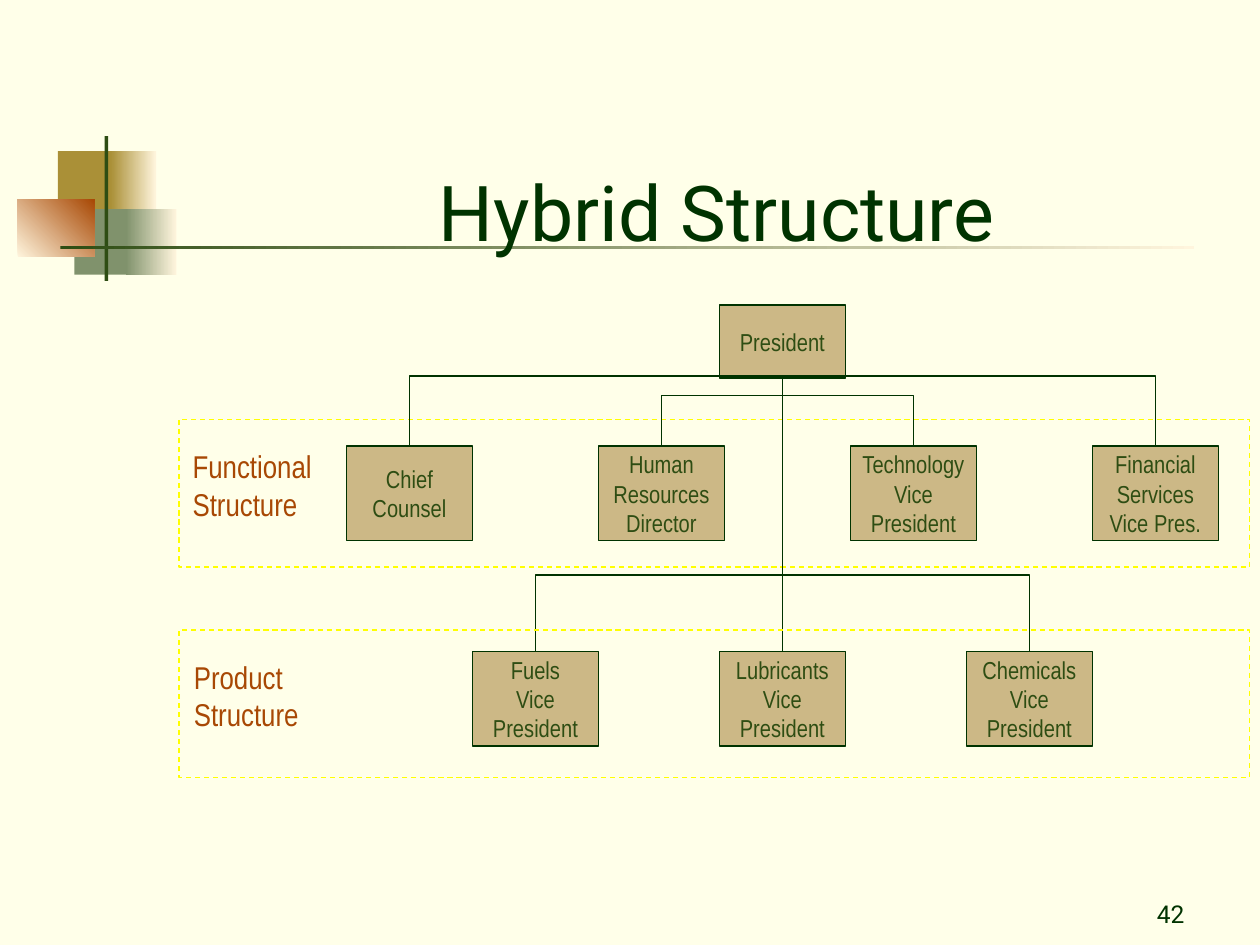
"""Build the Hybrid Structure organisation chart slide."""
from dataclasses import dataclass
from typing import Any, NamedTuple

from lxml import etree
from pptx import Presentation, util as u
from pptx.dml.color import RGBColor
from pptx.enum import dml, shapes, text
from pptx.oxml.ns import qn


@dataclass(frozen=True)
class Theme:
    paper: str = "FFFFE9"
    ink: str = "003300"
    moss: str = "2E4D13"
    sage: str = "80926C"
    gold: str = "AA9037"
    rust: str = "A84804"
    cream: str = "FFF5DD"
    tan: str = "CCB886"
    yellow: str = "FFFF00"
    title_font: str = "Roboto"
    chart_font: str = "Arial Narrow"
    title_size: int = 44
    band_size: int = 18
    small_size: int = 14
    line_width: float = 0.75


class Area(NamedTuple):
    left: float
    top: float
    width: float
    height: float


class Point(NamedTuple):
    x: float
    y: float


class Ornament(NamedTuple):
    area: Area
    color: str
    fade_to: str | None = None
    angle: int = 0


class Post(NamedTuple):
    label: str
    left: float
    top: float
    height: float = 0.75


class Band(NamedTuple):
    label: str
    top: float
    label_area: Area


THEME = Theme()
POST_WIDTH = 1
FUNCTION_TOP, PRODUCT_TOP = 3.54, 5.17

ORNAMENTS = [
    Ornament(Area(0.46, 1.2, 0.48, 0.52), THEME.gold),
    Ornament(Area(0.88, 1.2, 0.36, 0.52), THEME.gold, THEME.cream),
    Ornament(Area(0.59, 1.66, 0.46, 0.52), THEME.sage),
    Ornament(Area(1, 1.66, 0.4, 0.52), THEME.sage, THEME.cream),
    Ornament(Area(0.14, 1.58, 0.61, 0.46), THEME.cream, THEME.rust, 45),
    Ornament(Area(0.83, 1.08, 0.03, 1.15), THEME.moss),
    Ornament(Area(0.48, 1.95, 9, 0.03), THEME.moss, THEME.cream),
]
PRESIDENT = Post("President", 5.71, 2.42, 0.58)
TECHNOLOGY = Post("Technology\nVice\nPresident", 6.75, FUNCTION_TOP)
FINANCE = Post("Financial\nServices\nVice Pres.", 8.67, FUNCTION_TOP)
PEOPLE = Post("Human\nResources\nDirector", 4.75, FUNCTION_TOP)
COUNSEL = Post("Chief\nCounsel", 2.75, FUNCTION_TOP)
CHEMICALS = Post("Chemicals\nVice\nPresident", 7.67, PRODUCT_TOP)
LUBRICANTS = Post("Lubricants\nVice\nPresident", 5.71, PRODUCT_TOP)
FUELS = Post("Fuels\nVice\nPresident", 3.75, PRODUCT_TOP)
POSTS = [PRESIDENT, TECHNOLOGY, FINANCE, PEOPLE, COUNSEL, CHEMICALS, LUBRICANTS, FUELS]
FUNCTIONAL = Band("Functional\nStructure", 3.33, Area(1.43, 3.5, 1.42, 0.7))
PRODUCT = Band("Product\nStructure", 5, Area(1.44, 5.17, 1.29, 0.7))


def rgb(color: str) -> RGBColor:
    return RGBColor.from_string(color)


def inches(values: tuple[float, ...]) -> list[u.Length]:
    return [u.Inches(value) for value in values]


def write(box: Any, words: str, *, font: str, size: int, color: str,
          align: Any = text.PP_ALIGN.LEFT, anchor: Any = text.MSO_ANCHOR.TOP,
          wrap: bool = True, grow: bool = False) -> None:
    frame = box.text_frame
    frame.word_wrap = wrap
    frame.vertical_anchor = anchor
    frame.auto_size = (text.MSO_AUTO_SIZE.SHAPE_TO_FIT_TEXT if grow
                       else text.MSO_AUTO_SIZE.NONE)
    frame.text = words
    for para in frame.paragraphs:
        para.alignment = align
        for span in para.runs:
            span.font.name = font
            span.font.size = u.Pt(size)
            span.font.color.rgb = rgb(color)


def add_text(page: Any, area: Area, words: str, **style: Any) -> None:
    write(page.shapes.add_textbox(*inches(area)), words, **style)


def add_rectangle(page: Any, area: Area, fill: str | None = None,
                  line: str | None = None) -> Any:
    box = page.shapes.add_shape(shapes.MSO_SHAPE.RECTANGLE, *inches(area))
    box.shadow.inherit = False
    if fill:
        box.fill.solid()
        box.fill.fore_color.rgb = rgb(fill)
    else:
        box.fill.background()
    if line:
        box.line.color.rgb = rgb(line)
        box.line.width = u.Pt(THEME.line_width)
    else:
        box.line.fill.background()
    return box


def add_ornament(page: Any, ornament: Ornament) -> None:
    box = add_rectangle(page, ornament.area, ornament.color)
    if ornament.fade_to:
        box.fill.gradient()
        box.fill.gradient_angle = ornament.angle
        for stop, color in zip(box.fill.gradient_stops, (ornament.color, ornament.fade_to)):
            stop.color.rgb = rgb(color)


def add_post(page: Any, post: Post) -> Any:
    area = Area(post.left, post.top, POST_WIDTH, post.height)
    box = add_rectangle(page, area, THEME.tan, THEME.ink)
    write(box, post.label, font=THEME.chart_font, size=THEME.small_size, color=THEME.moss,
          align=text.PP_ALIGN.CENTER, anchor=text.MSO_ANCHOR.MIDDLE, wrap=False)
    return box


def add_band(page: Any, band: Band) -> None:
    frame = add_rectangle(page, Area(1.42, band.top, 8.5, 1.17), line=THEME.yellow)
    frame.line.dash_style = dml.MSO_LINE.DASH
    add_text(page, band.label_area, band.label, font=THEME.chart_font,
             size=THEME.band_size, color=THEME.rust, wrap=False, grow=True)


def add_line(page: Any, kind: Any, start: Point, end: Point) -> Any:
    line = page.shapes.add_connector(kind, *inches(start + end))
    line.line.color.rgb = rgb(THEME.ink)
    line.line.width = u.Pt(THEME.line_width)
    etree.SubElement(line.element.spPr, qn("a:effectLst"))
    return line


def add_elbow(page: Any, start: Point, end: Point, level: float) -> None:
    """Draw a vertical-first elbow whose crossbar lies at the given level."""
    depth, span = max(end.y - start.y, 0.01), abs(end.x - start.x)
    left, top = (start.x + end.x - depth) / 2, (start.y + end.y - span) / 2
    near, far = Point(left, top), Point(left + depth, top + span)
    rightward = end.x > start.x
    if rightward:
        near, far = Point(far.x, near.y), Point(near.x, far.y)
    line = add_line(page, shapes.MSO_CONNECTOR.ELBOW, near, far)
    properties = line.element.spPr
    properties.find(qn("a:xfrm")).set("rot", str((270 if rightward else 90) * 60000))
    guides = properties.find(qn("a:prstGeom")).find(qn("a:avLst"))
    bend = round((level - start.y) / depth * 100000)
    etree.SubElement(guides, qn("a:gd"), name="adj1", fmla=f"val {bend}")


def top_of(post: Post) -> Point:
    return Point(post.left + POST_WIDTH / 2, post.top)


def main() -> None:
    deck = Presentation()
    deck.slide_width, deck.slide_height = u.Inches(10), u.Inches(7.5)
    page = deck.slides.add_slide(deck.slide_layouts[6])
    page.background.fill.solid()
    page.background.fill.fore_color.rgb = rgb(THEME.paper)
    for ornament in ORNAMENTS:
        add_ornament(page, ornament)
    heading = {"font": THEME.title_font, "color": THEME.ink, "anchor": text.MSO_ANCHOR.BOTTOM}
    add_text(page, Area(7.42, 6.92, 2.08, 0.5), "42", size=THEME.small_size,
             align=text.PP_ALIGN.RIGHT, **heading)
    add_band(page, FUNCTIONAL)
    add_text(page, Area(1.43, 0.84, 8.52, 1.25), "Hybrid Structure", size=THEME.title_size,
             align=text.PP_ALIGN.CENTER, **heading)
    boxes = {post: add_post(page, post) for post in POSTS}
    root = Point(top_of(PRESIDENT).x, PRESIDENT.top + PRESIDENT.height)
    trunk = add_line(page, shapes.MSO_CONNECTOR.STRAIGHT, root, top_of(LUBRICANTS))
    trunk.begin_connect(boxes[PRESIDENT], 2)
    trunk.end_connect(boxes[LUBRICANTS], 0)
    add_elbow(page, top_of(COUNSEL), top_of(FINANCE), 2.98)
    add_elbow(page, top_of(FUELS), top_of(CHEMICALS), 4.56)
    add_band(page, PRODUCT)
    for post in (PEOPLE, TECHNOLOGY):
        add_elbow(page, root, top_of(post), 3.14)
    deck.save("out.pptx")


if __name__ == "__main__":
    main()
